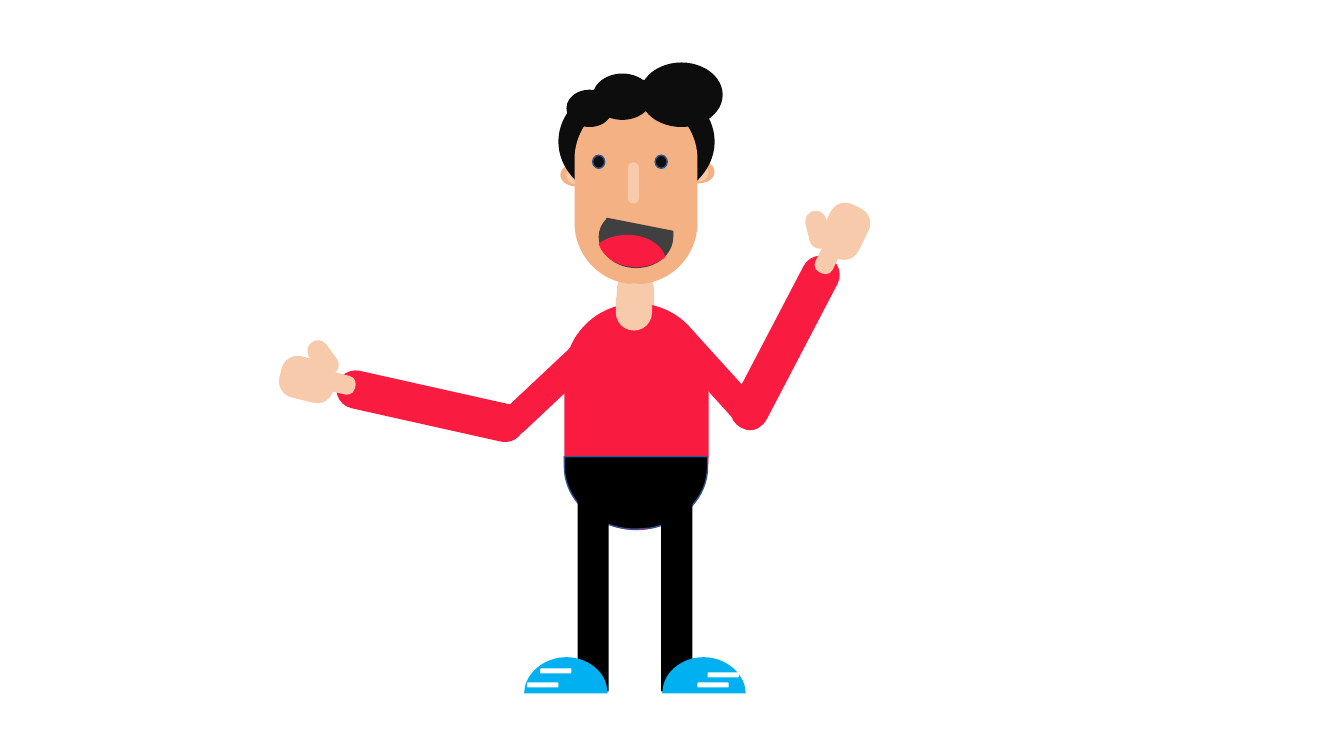
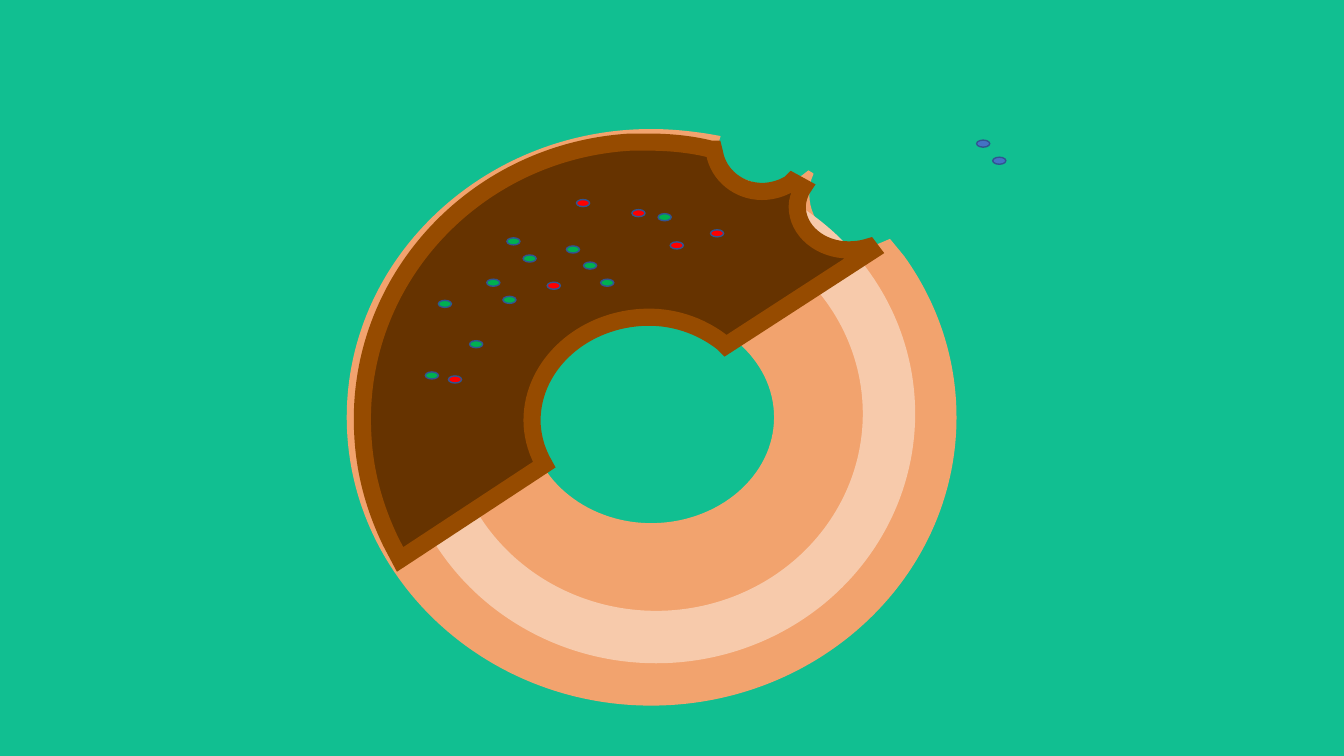
"""Build two illustrated slides: a waving man and a bitten doughnut."""
from lxml.etree import SubElement
from pptx import Presentation
from pptx.dml.color import RGBColor
from pptx.enum.shapes import MSO_SHAPE
from pptx.oxml.ns import qn
from pptx.util import Cm, Pt

UNIT = 2.54

WHITE = RGBColor(0xFF, 0xFF, 0xFF)
BLACK = RGBColor(0x00, 0x00, 0x00)
HAIR = RGBColor(0x0D, 0x0D, 0x0D)
MOUTH = RGBColor(0x40, 0x40, 0x40)
SKIN = RGBColor(0xF4, 0xB1, 0x83)
PALE = RGBColor(0xF7, 0xCA, 0xAB)
SHIRT = RGBColor(0xF9, 0x1B, 0x40)
SHOE = RGBColor(0x00, 0xB0, 0xF0)
EDGE = RGBColor(0x32, 0x54, 0x91)
TEAL = RGBColor(0x11, 0xBF, 0x91)
DOUGH = RGBColor(0xF2, 0xA3, 0x6E)
CHOCOLATE = RGBColor(0x66, 0x33, 0x00)
CARAMEL = RGBColor(0x96, 0x4B, 0x00)
GREEN = RGBColor(0x00, 0xB0, 0x50)
RED = RGBColor(0xFF, 0x00, 0x00)
BLUE = RGBColor(0x44, 0x72, 0xC4)

OVAL = MSO_SHAPE.OVAL
ROUNDED = MSO_SHAPE.ROUNDED_RECTANGLE


def trace(shapes, contours):
    """Return a freeform; steps of two numbers are lines, of six are curves."""
    builder = None
    for start, *steps in contours:
        first, *rest = [(Cm(UNIT * step[-2]), Cm(UNIT * step[-1])) for step in (start, *steps)]
        if builder is None:
            builder = shapes.build_freeform(*first, scale=1.0)
        else:
            builder.move_to(*first)
        builder.add_line_segments(rest, close=False)
        builder.add_line_segments([], close=True)
    shape = builder.convert_to_shape()
    segments = list(shape.element.iter(qn("a:lnTo")))
    for segment, step in zip(segments, [step for contour in contours for step in contour[1:]]):
        if len(step) == 6:
            curve = SubElement(segment.getparent(), qn("a:cubicBezTo"))
            for x, y in (step[:2], step[2:4], step[4:]):
                SubElement(curve, qn("a:pt"), x=str(Cm(UNIT * x) - shape.left),
                           y=str(Cm(UNIT * y) - shape.top))
            segment.getparent().replace(segment, curve)
    return shape


def draw(shapes, kind, place, fill, line=None, width=1, turn=0, corner=None):
    """Draw a preset in a box, or a freeform when kind is None."""
    if kind is None:
        shape = trace(shapes, place)
    else:
        shape = shapes.add_shape(kind, *[Cm(UNIT * length) for length in place])
    shape.shadow.inherit = False
    shape.rotation = turn
    if corner is not None:
        shape.adjustments[0] = corner
    shape.fill.solid()
    shape.fill.fore_color.rgb = fill
    if line is None:
        shape.line.fill.background()
    else:
        shape.line.color.rgb = line
        shape.line.width = Pt(width)
        SubElement(shape.element.spPr.find(qn("a:ln")), qn("a:miter"), lim="800000")


deck = Presentation()
deck.slide_width, deck.slide_height = Cm(33.87), Cm(19.05)
pages = []
for colour in (WHITE, TEAL):
    page = deck.slides.add_slide(deck.slide_layouts[6])
    page.background.fill.solid()
    page.background.fill.fore_color.rgb = colour
    pages.append(page)

man = pages[0].shapes.add_group_shape().shapes

draw(man, ROUNDED, (6.12, 2.69, 0.37, 0.63), PALE, corner=0.5)
draw(man, ROUNDED, (5.6, 3.01, 1.43, 2.25), SHIRT, corner=0.5)

for left, top in ((6.78, 1.59), (5.56, 1.62)):
    draw(man, OVAL, (left, top, 0.31, 0.23), SKIN)
    draw(man, OVAL, (left + 0.06, top + 0.03, 0.19, 0.18), PALE)

draw(man, OVAL, (5.54, 0.79, 1.55, 1.23), HAIR)
draw(man, ROUNDED, (5.7, 0.97, 1.22, 1.85), SKIN, corner=0.5)
for curl in ((6.35, 0.62, 0.82, 0.64), (5.88, 0.73, 0.59, 0.46), (5.62, 0.89, 0.46, 0.37)):
    draw(man, OVAL, curl, HAIR)
for left in (5.88, 6.5):
    draw(man, OVAL, (left, 1.54, 0.12, 0.13), HAIR, line=EDGE)
draw(man, ROUNDED, (6.23, 1.61, 0.11, 0.41), PALE, corner=0.5)

mouth = [(6.02, 2.16), (6.68, 2.29), (6.68, 2.35), (6.68, 2.52, 6.52, 2.66, 6.31, 2.66),
         (6.11, 2.66, 5.94, 2.52, 5.94, 2.35), (5.94, 2.28, 5.97, 2.22, 6.01, 2.18)]
tongue = [(6.22, 2.33), (6.41, 2.33, 6.56, 2.42, 6.6, 2.54), (6.6, 2.55), (6.59, 2.56),
          (6.52, 2.61, 6.42, 2.65, 6.32, 2.65), (6.13, 2.65, 5.98, 2.55, 5.94, 2.42),
          (5.95, 2.41), (6.02, 2.36, 6.12, 2.33, 6.22, 2.33)]
hips = [(5.6, 4.53), (7.02, 4.53), (7.02, 4.63), (7.02, 4.93, 6.78, 5.18, 6.45, 5.24),
        (6.31, 5.25), (5.92, 5.25, 5.6, 4.97, 5.6, 4.63)]
draw(man, None, [mouth], MOUTH)
draw(man, None, [tongue], SHIRT)
draw(man, None, [hips], BLACK, line=EDGE)

left_shoe = [(5.62, 6.52), (5.82, 6.52, 5.99, 6.65, 6.02, 6.81), (6.03, 6.88),
             (5.2, 6.88), (5.21, 6.81), (5.25, 6.65, 5.42, 6.52, 5.62, 6.52)]
right_shoe = [tuple(12.6 - value if index % 2 == 0 else value
                    for index, value in enumerate(step)) for step in left_shoe]
for leg_left, shoe in ((5.73, left_shoe), (6.56, right_shoe)):
    draw(man, MSO_SHAPE.RECTANGLE, (leg_left, 4.9, 0.31, 1.96), BLACK)
    draw(man, None, [shoe], SHOE)
for left, top in ((5.36, 6.63), (5.23, 6.77), (6.92, 6.77), (7.02, 6.67)):
    draw(man, ROUNDED, (left, top, 0.31, 0.05), WHITE)

for left, top, turn in ((6.96, 3.1, 317.8), (5.32, 3.18, 46.8)):
    draw(man, ROUNDED, (left, top, 0.29, 1.3), SHIRT, turn=turn, corner=0.5)

forearms = (
    ((7.6, 2.45, 27.6), (8.15, 2.26, 26.3), (8.17, 2.02, 26.2), (8.01, 2.09, 346.2)),
    ((4.08, 3.08, 102.6), (3.2, 3.55, 103.8), (2.84, 3.49, 104), (3.1, 3.36, 144)),
)
arm_parts = ((0.38, 1.9, SHIRT, 0.5), (0.19, 0.47, PALE, 0.41),
             (0.42, 0.55, PALE, 0.39), (0.21, 0.38, PALE, 0.5))
for forearm in forearms:
    for (left, top, turn), (width, height, fill, corner) in zip(forearm, arm_parts):
        draw(man, ROUNDED, (left, top, width, height), fill, turn=turn, corner=corner)

draw(man, ROUNDED, (6.11, 2.81, 0.36, 0.47), PALE, corner=0.5)

doughnut = pages[1].shapes

hole = [(6.46, 3.09), (5.8, 3.09, 5.25, 3.56, 5.25, 4.14), (5.25, 4.72, 5.8, 5.19, 6.46, 5.19),
        (7.13, 5.19, 7.68, 4.72, 7.68, 4.14), (7.68, 3.56, 7.13, 3.09, 6.46, 3.09)]
dough = [(6.46, 1.28), (6.66, 1.28, 6.85, 1.3, 7.04, 1.33), (7.15, 1.35), (7.14, 1.38),
         (7.14, 1.4, 7.13, 1.43, 7.13, 1.46), (7.13, 1.67, 7.35, 1.84, 7.62, 1.84),
         (7.76, 1.84, 7.88, 1.8, 7.97, 1.73), (8.02, 1.69), (8.07, 1.72), (8.07, 1.73),
         (8.04, 1.79, 8.03, 1.86, 8.03, 1.93), (8.03, 2.21, 8.27, 2.44, 8.56, 2.44),
         (8.63, 2.44, 8.7, 2.43, 8.76, 2.4), (8.83, 2.37), (8.97, 2.54),
         (9.3, 3, 9.49, 3.55, 9.49, 4.14), (9.49, 5.72, 8.13, 7, 6.46, 7),
         (4.8, 7, 3.44, 5.72, 3.44, 4.14), (3.44, 2.56, 4.8, 1.28, 6.46, 1.28)]
icing = [(6.42, 1.41), (6.64, 1.41, 6.85, 1.43, 7.05, 1.48), (7.08, 1.48), (7.09, 1.52),
         (7.13, 1.74, 7.33, 1.9, 7.56, 1.9), (7.66, 1.9, 7.76, 1.87, 7.84, 1.82),
         (7.86, 1.8), (7.97, 1.86), (7.95, 1.89), (7.93, 1.94, 7.91, 1.99, 7.91, 2.05),
         (7.91, 2.29, 8.14, 2.48, 8.42, 2.48), (8.49, 2.48, 8.56, 2.47, 8.62, 2.45),
         (8.65, 2.49), (7.2, 3.43), (7.17, 3.4), (6.95, 3.23, 6.67, 3.13, 6.36, 3.15),
         (5.73, 3.19, 5.25, 3.67, 5.28, 4.22), (5.29, 4.36, 5.33, 4.49, 5.4, 4.61),
         (3.97, 5.55), (3.88, 5.38), (3.72, 5.05, 3.62, 4.7, 3.6, 4.32),
         (3.51, 2.8, 4.7, 1.5, 6.26, 1.41), (6.31, 1.41, 6.37, 1.41, 6.42, 1.41)]
draw(doughnut, None, [hole, dough], DOUGH)
draw(doughnut, MSO_SHAPE.DONUT, (3.94, 1.63, 5.14, 4.95), PALE, corner=0.105)
draw(doughnut, None, [icing], CHOCOLATE, line=CARAMEL, width=12.25)

sprinkles = {
    GREEN: ((4.22, 3.69), (4.35, 2.98), (4.83, 2.77), (4.66, 3.38), (4.99, 2.94), (5.03, 2.36),
            (5.62, 2.44), (5.19, 2.53), (5.79, 2.6), (5.96, 2.77), (6.53, 2.12)),
    RED: ((5.43, 2.8), (4.45, 3.73), (6.65, 2.4), (5.72, 1.98), (7.05, 2.28), (6.27, 2.08)),
    BLUE: ((9.69, 1.39), (9.85, 1.56)),
}
for colour, places in sprinkles.items():
    for left, top in places:
        draw(doughnut, OVAL, (left, top, 0.13, 0.07), colour, line=EDGE)

deck.save("out.pptx")
